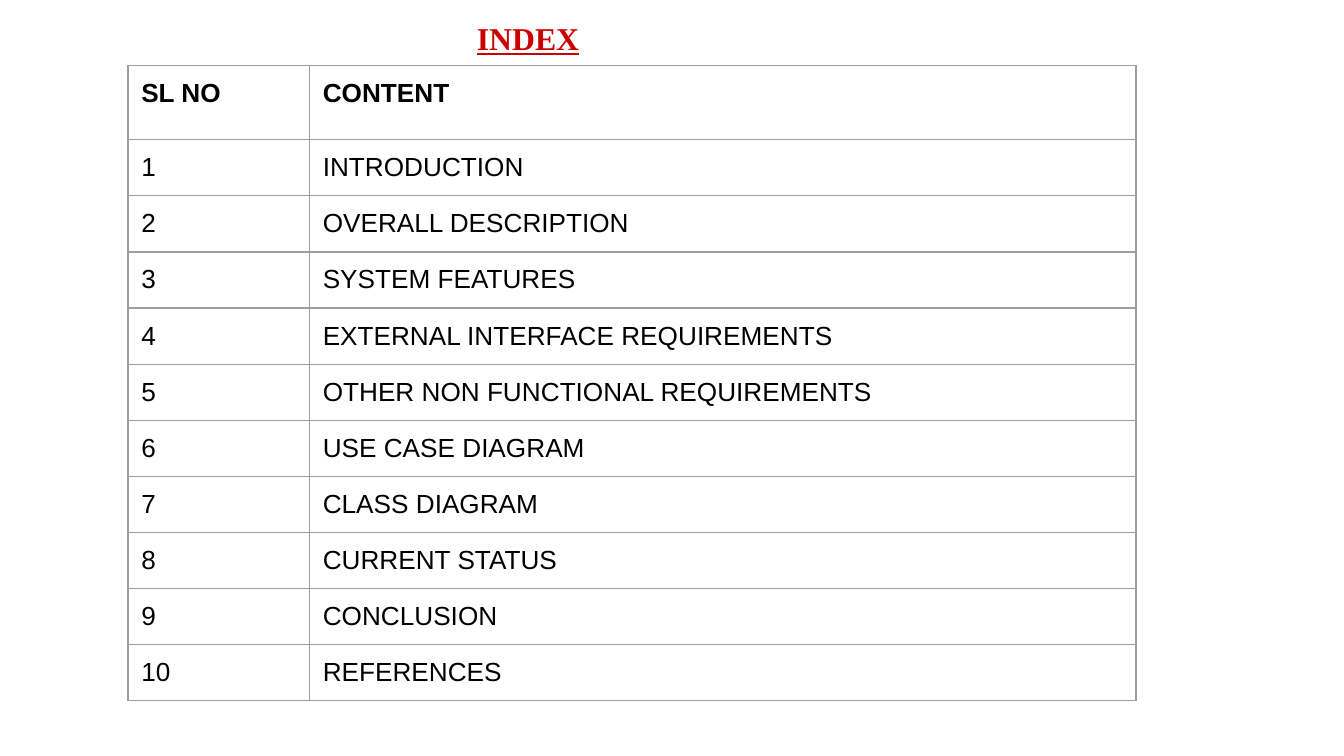
from lxml import etree
from pptx import Presentation
from pptx import util as u
from pptx.dml.color import RGBColor
from pptx.enum import text
from pptx.oxml.ns import qn

HUES = {"title": "CC0000", "text": "000000", "line": "9E9E9E", "back": "FFFFFF"}
PAD = u.Cm(0.25)
TOPICS = [
    "INTRODUCTION",
    "OVERALL DESCRIPTION",
    "SYSTEM FEATURES",
    "EXTERNAL INTERFACE REQUIREMENTS",
    "OTHER NON FUNCTIONAL REQUIREMENTS",
    "USE CASE DIAGRAM",
    "CLASS DIAGRAM",
    "CURRENT STATUS",
    "CONCLUSION",
    "REFERENCES",
]


def add_run(para, words, font, size, hue, bold):
    run = para.add_run()
    run.text = words
    run.font.name = font
    run.font.size = u.Pt(size)
    run.font.bold = bold
    run.font.color.rgb = RGBColor.from_string(HUES[hue])
    return run


def add_lines(cell):
    props = cell._tc.get_or_add_tcPr()
    for i, side in enumerate(("lnL", "lnR", "lnT", "lnB")):
        line = etree.Element(qn("a:" + side), w=str(u.Pt(0.75)))
        fill = etree.SubElement(line, qn("a:solidFill"))
        etree.SubElement(fill, qn("a:srgbClr"), val=HUES["line"])
        props.insert(i, line)


# Slide
deck = Presentation()
deck.slide_width, deck.slide_height = u.Cm(25.4), u.Cm(14.28)
slide = deck.slides.add_slide(deck.slide_layouts[5])
slide.background.fill.solid()
slide.background.fill.fore_color.rgb = RGBColor.from_string(HUES["back"])

# Title
title = slide.shapes.title
title.left, title.top = u.Cm(8.76), u.Cm(0)
title.width, title.height = u.Cm(8.33), u.Cm(1.24)
frame = title.text_frame
frame.word_wrap = True
frame.auto_size = text.MSO_AUTO_SIZE.NONE
frame.vertical_anchor = text.MSO_ANCHOR.TOP
frame.margin_left = frame.margin_right = PAD
frame.margin_top = frame.margin_bottom = PAD
para = frame.paragraphs[0]
para.alignment = text.PP_ALIGN.LEFT
para.line_spacing = 1.15
para.space_before, para.space_after = u.Pt(0), u.Pt(16)
add_run(para, "INDEX", "Times New Roman", 17, "title", True).font.underline = True

# Table grid
rows = [("SL NO", "CONTENT")] + [(str(n), t) for n, t in enumerate(TOPICS, 1)]
wides = [u.Cm(3.43), u.Cm(15.62)]
highs = [u.Cm(1.4)] + [u.Cm(1.06)] * len(TOPICS)
table = slide.shapes.add_table(
    len(rows), 2, u.Cm(2.42), u.Cm(1.24), sum(wides), sum(highs)
).table
table.horz_banding = False
for col, wide in zip(table.columns, wides):
    col.width = wide
for row, high in zip(table.rows, highs):
    row.height = high

# Table cells
for r, row in enumerate(rows):
    for c, words in enumerate(row):
        cell = table.cell(r, c)
        cell.margin_left = cell.margin_right = PAD
        cell.margin_top = cell.margin_bottom = PAD
        cell.fill.background()
        add_lines(cell)
        add_run(cell.text_frame.paragraphs[0], words, "Arial", 14, "text", r == 0)

deck.save("out.pptx")
